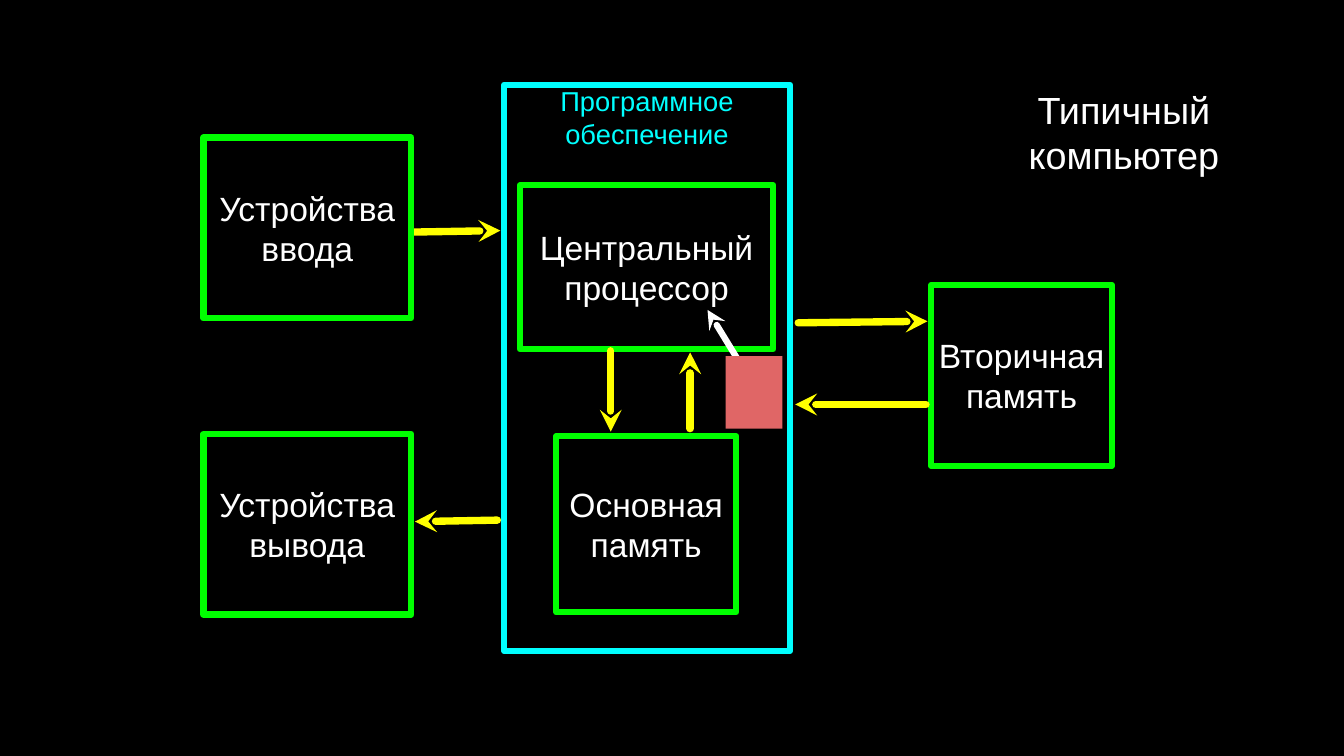
from dataclasses import dataclass

from lxml import etree
from pptx import Presentation
from pptx.dml.color import RGBColor
from pptx.enum.shapes import MSO_CONNECTOR, MSO_SHAPE
from pptx.enum.text import MSO_ANCHOR, MSO_AUTO_SIZE, PP_ALIGN
from pptx.oxml.ns import qn
from pptx.util import Inches, Pt

RECTANGLE = MSO_SHAPE.RECTANGLE
STRAIGHT = MSO_CONNECTOR.STRAIGHT
TOP, MIDDLE = MSO_ANCHOR.TOP, MSO_ANCHOR.MIDDLE
CENTER = PP_ALIGN.CENTER
NO_AUTOFIT = MSO_AUTO_SIZE.NONE

COLORS = {
    "background": "000000",
    "text": "FFFFFF",
    "software": "00FFFF",
    "hardware": "00FF00",
    "flow": "FFFF00",
    "instruction": "E06666",
}
FONT = "Arial"
BORDER = 6


@dataclass
class Block:
    text: str
    left: float
    top: float
    width: float
    height: float
    border: str = "hardware"
    color: str = "text"
    size: int = 32
    anchor: MSO_ANCHOR = MIDDLE


@dataclass
class Arrow:
    tip: tuple[float, float]
    tail: tuple[float, float]
    color: str = "flow"
    weight: int = 7


SYSTEM_BLOCKS = [
    Block("Программное обеспечение", 6.67, 1.12, 3.78, 7.49,
          "software", "software", 26, TOP),
    Block("Центральный процессор", 6.88, 2.45, 3.35, 2.17),
    Block("Основная память", 7.36, 5.77, 2.38, 2.33),
    Block("Вторичная память", 12.32, 3.77, 2.39, 2.39),
]
DEVICE_BLOCKS = [
    Block(f"Устройства {role}", 2.69, top, 2.75, 2.39)
    for role, top in (("ввода", 1.82), ("вывода", 5.74))
]
ARROWS = [
    Arrow((6.62, 3.05), (5.46, 3.07)),
    Arrow((8.08, 5.71), (8.08, 4.64)),
    Arrow((9.13, 4.66), (9.13, 5.67)),
    Arrow((5.49, 6.9), (6.58, 6.88)),
    Arrow((12.27, 4.25), (10.56, 4.27)),
    Arrow((10.52, 5.35), (12.25, 5.35)),
    Arrow((9.36, 4.1), (9.83, 4.87), "text", 6),
]


def rgb(name: str) -> RGBColor:
    return RGBColor.from_string(COLORS[name])


def write_text(shape, text: str, color: str, size: int, anchor: MSO_ANCHOR) -> None:
    frame = shape.text_frame
    frame_format = {
        "word_wrap": True,
        "auto_size": NO_AUTOFIT,
        "vertical_anchor": anchor,
        "margin_left": 0,
        "margin_top": 0,
        "margin_right": 0,
        "margin_bottom": 0,
    }
    for name, value in frame_format.items():
        setattr(frame, name, value)
    para = frame.paragraphs[0]
    para.alignment = CENTER
    span = para.add_run()
    span.text = text
    for name, value in {"name": FONT, "size": Pt(size), "bold": False}.items():
        setattr(span.font, name, value)
    span.font.color.rgb = rgb(color)


def add_rectangle(page, left: float, top: float, width: float, height: float):
    box = page.shapes.add_shape(
        RECTANGLE, Inches(left), Inches(top), Inches(width), Inches(height))
    box.shadow.inherit = False
    return box


def draw_block(page, block: Block) -> None:
    box = add_rectangle(page, block.left, block.top, block.width, block.height)
    box.fill.background()
    box.line.color.rgb = rgb(block.border)
    box.line.width = Pt(BORDER)
    write_text(box, block.text, block.color, block.size, block.anchor)


def draw_arrow(page, arrow: Arrow) -> None:
    points = [Inches(value) for value in (*arrow.tip, *arrow.tail)]
    connector = page.shapes.add_connector(STRAIGHT, *points)
    connector.line.color.rgb = rgb(arrow.color)
    connector.line.width = Pt(arrow.weight)
    outline = connector.line._get_or_add_ln()
    outline.set("cap", "rnd")
    etree.SubElement(outline, qn("a:round"))
    etree.SubElement(outline, qn("a:headEnd"), type="stealth")
    etree.SubElement(connector._element.spPr, qn("a:effectLst"))


def draw_title(page, text: str) -> None:
    title = page.shapes.title
    place = {"left": 13.6, "top": 1.12, "width": 2.54, "height": 1.25}
    for name, value in place.items():
        setattr(title, name, Inches(value))
    write_text(title, text, "text", 36, MIDDLE)


def draw_instruction(page) -> None:
    card = add_rectangle(page, 9.6, 4.71, 0.75, 0.96)
    card.fill.solid()
    card.fill.fore_color.rgb = rgb("instruction")
    card.line.fill.background()


def main() -> None:
    deck = Presentation()
    deck.slide_width, deck.slide_height = Inches(17.78), Inches(10)
    page = deck.slides.add_slide(deck.slide_layouts[5])
    page.background.fill.solid()
    page.background.fill.fore_color.rgb = rgb("background")
    draw_title(page, "Типичный компьютер")
    for block in SYSTEM_BLOCKS:
        draw_block(page, block)
    for arrow in ARROWS:
        draw_arrow(page, arrow)
    draw_instruction(page)
    for block in DEVICE_BLOCKS:
        draw_block(page, block)
    deck.save("out.pptx")


if __name__ == "__main__":
    main()
